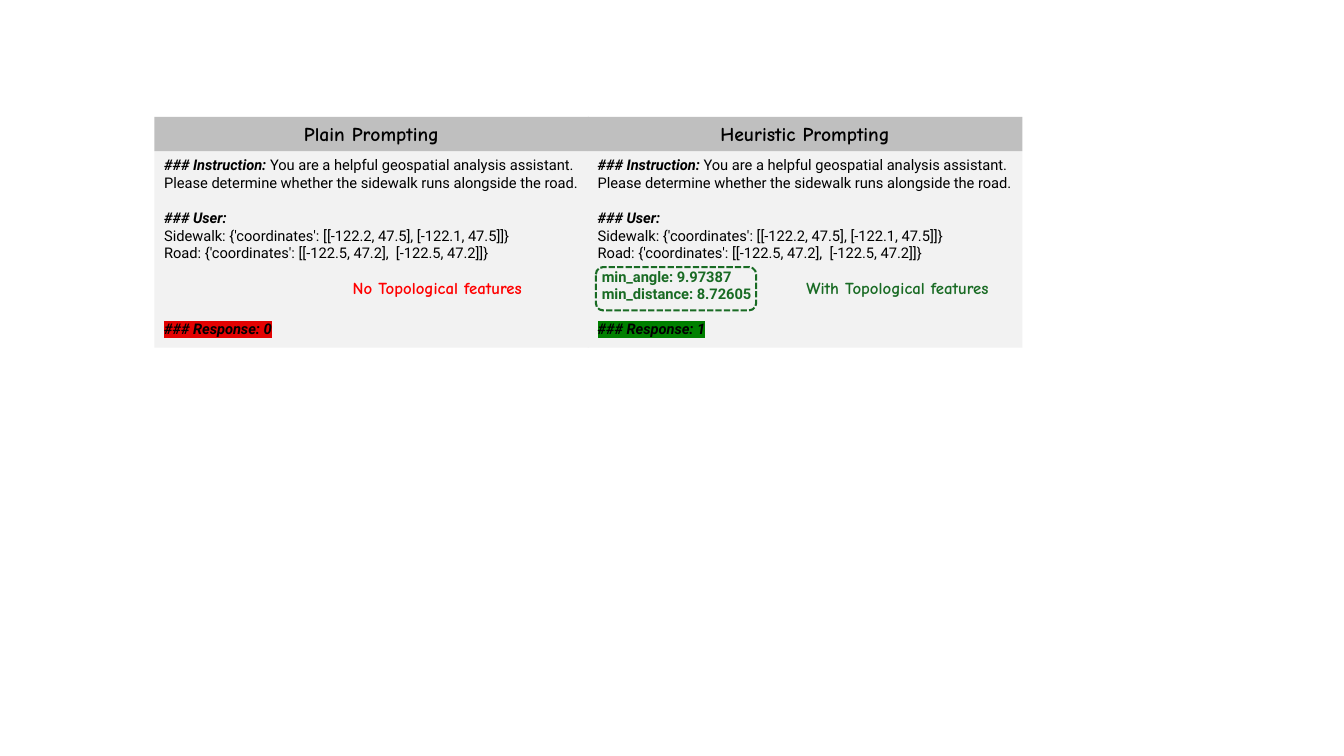
from dataclasses import dataclass, field

from lxml import etree
from pptx import Presentation
from pptx import util as u
from pptx.dml.color import RGBColor
from pptx.enum import dml, shapes, text
from pptx.oxml import ns

BLACK = RGBColor(0x00, 0x00, 0x00)
PALE_GREY = RGBColor(0xF2, 0xF2, 0xF2)
HEADER_GREY = RGBColor(0xBF, 0xBF, 0xBF)
GREEN = RGBColor(0x19, 0x6B, 0x24)
RED = RGBColor(0xFF, 0x00, 0x00)
WRONG_RED = RGBColor(0xE3, 0x02, 0x02)
RIGHT_GREEN = RGBColor(0x00, 0x80, 0x00)

BODY_FONT, TITLE_FONT = "Roboto", "Comic Neue"
BODY_SIZE = 10.5
LINE_GAP = 12.5  # height of one body line, in points
LEFT, PITCH, WIDTH = 1.53, 4.3, 4.31
HEADER_TOP, HEADER_HEIGHT = 1.16, 0.34
BODY_TOP, BODY_HEIGHT = 1.5, 1.95
LABEL_TOP, LABEL_HEIGHT = 2.71, 0.31


@dataclass
class Line:
    words: str
    heading: str = ""
    bold: bool = False
    italic: bool = False
    color: RGBColor = BLACK
    before: float = 0
    indent: float = 0
    highlight: RGBColor | None = None


@dataclass
class Label:
    words: str
    left: float
    width: float
    color: RGBColor


@dataclass
class Prompt:
    title: str
    response: Line
    label: Label
    features: list[Line] = field(default_factory=list)


QUESTION = [
    Line("You are a helpful geospatial analysis assistant. "
         "Please determine whether the sidewalk runs alongside the road.",
         heading="### Instruction: "),
    Line("### User:", bold=True, italic=True, before=LINE_GAP),
    Line("Sidewalk: {'coordinates': [[-122.2, 47.5], [-122.1, 47.5]]}"),
    Line("Road: {'coordinates': [[-122.5, 47.2],  [-122.5, 47.2]]}"),
]

PROMPTS = [
    Prompt("Plain Prompting",
           Line("### Response: 0", bold=True, italic=True,
                before=3 * LINE_GAP + 4, highlight=WRONG_RED),
           Label("No Topological features", 3.4, 2.03, RED)),
    Prompt("Heuristic Prompting",
           Line("### Response: 1", bold=True, italic=True,
                before=LINE_GAP, highlight=RIGHT_GREEN),
           Label("With Topological features", 7.9, 2.21, GREEN),
           [Line("min_angle: 9.97387", bold=True, color=GREEN, before=4, indent=0.04),
            Line("min_distance: 8.72605", bold=True, color=GREEN, indent=0.04)]),
]


def set_font(font, name: str, size: float, color: RGBColor) -> None:
    font.name = name
    font.size = u.Pt(size)
    font.color.rgb = color


def add_panel(page, left: float, top: float, height: float, fill: RGBColor):
    box = page.shapes.add_shape(
        shapes.MSO_SHAPE.RECTANGLE, u.Inches(left), u.Inches(top),
        u.Inches(WIDTH), u.Inches(height))
    box.shadow.inherit = False
    box.fill.solid()
    box.fill.fore_color.rgb = fill
    box.line.fill.background()
    box.text_frame.word_wrap = True
    return box


def add_header(page, left: float, title: str) -> None:
    box = add_panel(page, left, HEADER_TOP, HEADER_HEIGHT, HEADER_GREY)
    para = box.text_frame.paragraphs[0]
    para.text = title
    para.alignment = text.PP_ALIGN.CENTER
    set_font(para.font, TITLE_FONT, 14, BLACK)
    para.font.bold = True


def highlight_span(span, color: RGBColor) -> None:
    mark = etree.Element(ns.qn("a:highlight"))
    etree.SubElement(mark, ns.qn("a:srgbClr")).set("val", str(color))
    span.font._element.insert(0, mark)


def write_line(para, line: Line) -> None:
    para.alignment = text.PP_ALIGN.LEFT
    if line.before:
        para.space_before = u.Pt(line.before)
    if line.indent:
        para._p.get_or_add_pPr().set("marL", str(u.Inches(line.indent)))
    set_font(para.font, BODY_FONT, BODY_SIZE, line.color)
    if line.heading:
        span = para.add_run()
        span.text = line.heading
        span.font.bold = span.font.italic = True
    else:
        para.font.bold, para.font.italic = line.bold, line.italic
    span = para.add_run()
    span.text = line.words
    if line.highlight is not None:
        highlight_span(span, line.highlight)


def add_body(page, left: float, lines: list[Line]) -> None:
    frame = add_panel(page, left, BODY_TOP, BODY_HEIGHT, PALE_GREY).text_frame
    frame.vertical_anchor = text.MSO_ANCHOR.TOP
    for index, line in enumerate(lines):
        para = frame.add_paragraph() if index else frame.paragraphs[0]
        write_line(para, line)


def add_feature_outline(page) -> None:
    box = page.shapes.add_shape(
        shapes.MSO_SHAPE.ROUNDED_RECTANGLE, u.Inches(5.91), u.Inches(2.65),
        u.Inches(1.59), u.Inches(0.43))
    box.shadow.inherit = False
    box.fill.background()
    box.line.color.rgb = GREEN
    box.line.width = u.Pt(1.5)
    box.line.dash_style = dml.MSO_LINE.SQUARE_DOT


def add_label(page, label: Label) -> None:
    box = page.shapes.add_textbox(
        u.Inches(label.left), u.Inches(LABEL_TOP),
        u.Inches(label.width), u.Inches(LABEL_HEIGHT))
    box.text_frame.word_wrap = False
    box.text_frame.auto_size = text.MSO_AUTO_SIZE.SHAPE_TO_FIT_TEXT
    para = box.text_frame.paragraphs[0]
    para.text = label.words
    set_font(para.font, TITLE_FONT, 12, label.color)
    para.font.bold = True


def main() -> None:
    deck = Presentation()
    deck.slide_width, deck.slide_height = u.Inches(13.33), u.Inches(7.5)
    page = deck.slides.add_slide(deck.slide_layouts[6])

    # Two prompt columns
    for column, prompt in enumerate(PROMPTS):
        left = LEFT + column * PITCH
        add_body(page, left, [*QUESTION, *prompt.features, prompt.response])
        add_header(page, left, prompt.title)

    # Marks on the topological features
    add_feature_outline(page)
    for prompt in PROMPTS:
        add_label(page, prompt.label)

    deck.save("out.pptx")


if __name__ == "__main__":
    main()
